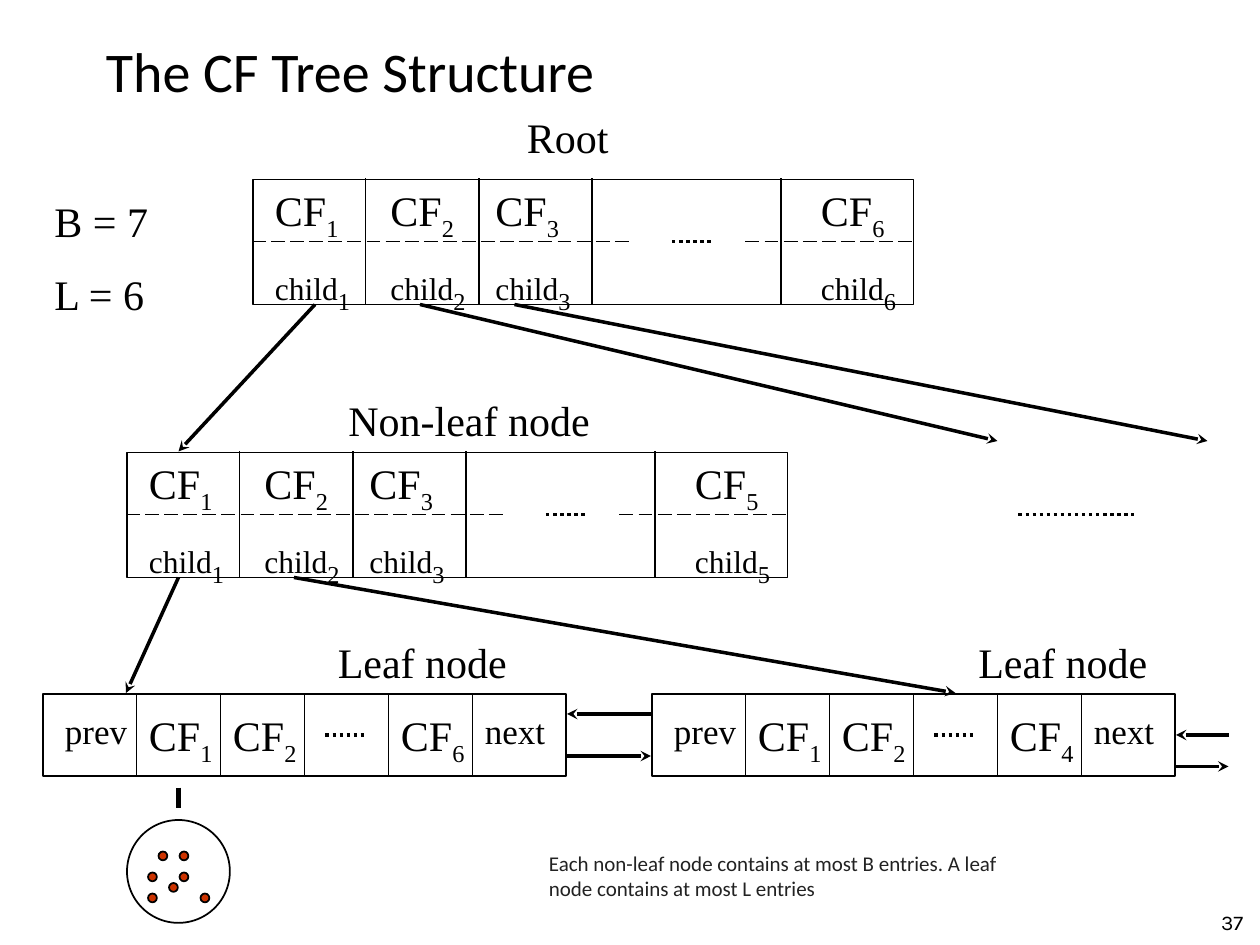
from lxml import etree
from pptx import Presentation, util as u
from pptx.dml.color import RGBColor
from pptx.enum import dml, shapes, text
from pptx.oxml.ns import qn

BLACK = RGBColor(0x00, 0x00, 0x00)
DARK_GREY = RGBColor(0x22, 0x22, 0x22)
RED = RGBColor(0xCC, 0x33, 0x00)
SERIF = "Times New Roman"

NODE_DIVIDERS = (10.8, 21.6, 32.4, 50.4)
NODE_ENTRIES = (1, 12, 22, 53)
LEAF_DIVIDERS = (9, 17, 25, 33, 41)
LEAF_ENTRIES = (9, 17, 33)


def grid(steps):
    """The diagram sits on a grid of twelve steps to the inch."""
    return u.Cm(steps * 2.54 / 12)


def add_line(parent, start, end, width=1, dash=None, arrow=False):
    line = parent.add_connector(shapes.MSO_CONNECTOR.STRAIGHT,
                                *map(grid, start + end))
    line.line.color.rgb = BLACK
    line.line.width = u.Pt(width)
    if dash:
        line.line.dash_style = dash
    if arrow:
        etree.SubElement(line.line._get_or_add_ln(), qn("a:tailEnd"), type="stealth")
    etree.SubElement(line._element.spPr, qn("a:effectLst"))


def add_dots(parent, left, right, y):
    add_line(parent, (left, y), (right, y), 2, dml.MSO_LINE.ROUND_DOT)


def add_outline(parent, kind, left, top, width, height, fill=None):
    shape = parent.add_shape(kind, *map(grid, (left, top, width, height)))
    shape.shadow.inherit = False
    if fill is None:
        shape.fill.background()
    else:
        shape.fill.solid()
        shape.fill.fore_color.rgb = fill
    shape.line.color.rgb = BLACK
    shape.line.width = u.Pt(1)


def format_run(run, size, font=SERIF, color=BLACK):
    run.font.size = u.Pt(size)
    run.font.name = font
    run.font.color.rgb = color


def add_text(parent, left, top, width, height, lines, size=24, font=SERIF, color=BLACK):
    box = parent.add_textbox(*map(grid, (left, top, width, height)))
    box.text_frame.word_wrap = True
    box.text_frame.text = lines
    for paragraph in box.text_frame.paragraphs:
        format_run(paragraph.runs[0], size, font, color)
    return box.text_frame


def add_indexed(parent, left, top, width, height, word, index, size=24):
    """A word followed by a subscript number."""
    frame = add_text(parent, left, top, width, height, word, size)
    run = frame.paragraphs[0].add_run()
    run.text = str(index)
    format_run(run, 24)
    run._r.get_or_add_rPr().set("baseline", "-25000")


def add_inner_node(parent, left, top, last):
    """Node with a CF row over a child row."""
    middle, bottom = top + 6, top + 12
    add_outline(parent, shapes.MSO_SHAPE.RECTANGLE, left + 0.1, top + 0.1, 62.9, 11.9)
    for offset in NODE_DIVIDERS:
        add_line(parent, (left + offset, top), (left + offset, bottom))
    for start, end in ((0, 36), (47, 63)):
        add_line(parent, (left + start, middle), (left + end, middle),
                 dash=dml.MSO_LINE.LONG_DASH)
    add_dots(parent, left + 40, left + 44, middle)
    for offset, index in zip(NODE_ENTRIES, (1, 2, 3, last)):
        add_indexed(parent, left + offset, top, 9, 6, "CF", index)
        add_indexed(parent, left + offset, top + 7, 12, 4.8, "child", index, 18)


def add_leaf(parent, left, last):
    """Leaf with prev and next links around its CF entries."""
    top, bottom = 66, 74
    add_outline(parent, shapes.MSO_SHAPE.RECTANGLE, left + 0.1, top + 0.1, 49.8, 7.8)
    for offset in LEAF_DIVIDERS:
        add_line(parent, (left + offset, top), (left + offset, bottom))
    for offset, index in zip(LEAF_ENTRIES, (1, 2, last)):
        add_indexed(parent, left + offset, top + 1, 9, 6, "CF", index)
    add_dots(parent, left + 27, left + 31, top + 4)
    for offset, word in ((1, "prev"), (41, "next")):
        add_text(parent, left + offset, top + 1, 9, 5.2, word, 20)


def add_cluster(parent):
    """Circle of data points below the first leaf entry."""
    add_line(parent, (17, 75), (17, 77), 3)
    cluster = parent.add_group_shape().shapes
    for left, top in ((15.1, 81.1), (17.1, 83.1), (17.1, 81.1), (14.1, 85.1),
                      (14.1, 83.1), (16.1, 84.1), (19.1, 85.1)):
        add_outline(cluster, shapes.MSO_SHAPE.OVAL, left, top, 0.84, 0.84, RED)
    add_outline(cluster, shapes.MSO_SHAPE.OVAL, 12.1, 78.1, 9.8, 9.8)


def add_title(slide):
    title = slide.shapes.title
    title.left, title.top = u.Cm(1.88), u.Cm(0.64)
    title.width, title.height = u.Cm(20.98), u.Cm(1.7)
    frame = title.text_frame
    frame.text = "The CF Tree Structure"
    frame.vertical_anchor = text.MSO_ANCHOR.MIDDLE
    frame.paragraphs[0].alignment = text.PP_ALIGN.LEFT
    frame.paragraphs[0].line_spacing = 0.9
    format_run(frame.paragraphs[0].runs[0], 32, "Calibri")


def main():
    presentation = Presentation()
    presentation.slide_width, presentation.slide_height = u.Cm(25.4), u.Cm(19.05)
    slide = presentation.slides.add_slide(presentation.slide_layouts[5])
    add_title(slide)
    parts = slide.shapes

    # Nodes of the tree
    add_inner_node(parts.add_group_shape().shapes, 24, 17, last=6)
    add_inner_node(parts, 12, 43, last=5)
    add_leaf(parts, 4, last=6)
    add_leaf(parts, 62, last=4)
    add_dots(parts, 97, 108, 49)

    # Pointers to children, then links between leaves
    for start, end in (((30, 29), (17, 43)), ((40, 29), (95, 42)),
                       ((49, 29), (115, 42)), ((17, 55), (12, 66)),
                       ((28, 55), (91, 66)),
                       ((62, 68), (54, 68)), ((54, 72), (62, 72)),
                       ((112, 73), (117, 73)), ((117, 70), (112, 70))):
        add_line(parts, start, end, 2, arrow=True)

    # Labels
    for left, top, width, label in ((49, 10, 13, "Root"), (32, 37, 26, "Non-leaf node"),
                                    (31, 60, 19, "Leaf node"), (92, 60, 19, "Leaf node")):
        add_text(parts, left, top, width, 6, label)
    limits = add_text(parts, 4, 18, 14, 13.3, "B = 7\nL = 6")
    limits.paragraphs[1].space_before = u.Pt(13)

    add_cluster(parts)

    # Note and page number
    note = add_text(parts, 51.1, 80.4, 46.6, 6,
                    "Each non-leaf node contains at most B entries. "
                    "A leaf node contains at most L entries", 12, "Calibri", DARK_GREY)
    number = add_text(parts, 92.6, 86.4, 27, 2.8, "37", 12, "Karla")
    number.paragraphs[0].alignment = text.PP_ALIGN.RIGHT
    for frame in (note, number):
        frame.vertical_anchor = text.MSO_ANCHOR.MIDDLE

    presentation.save("out.pptx")


if __name__ == "__main__":
    main()
